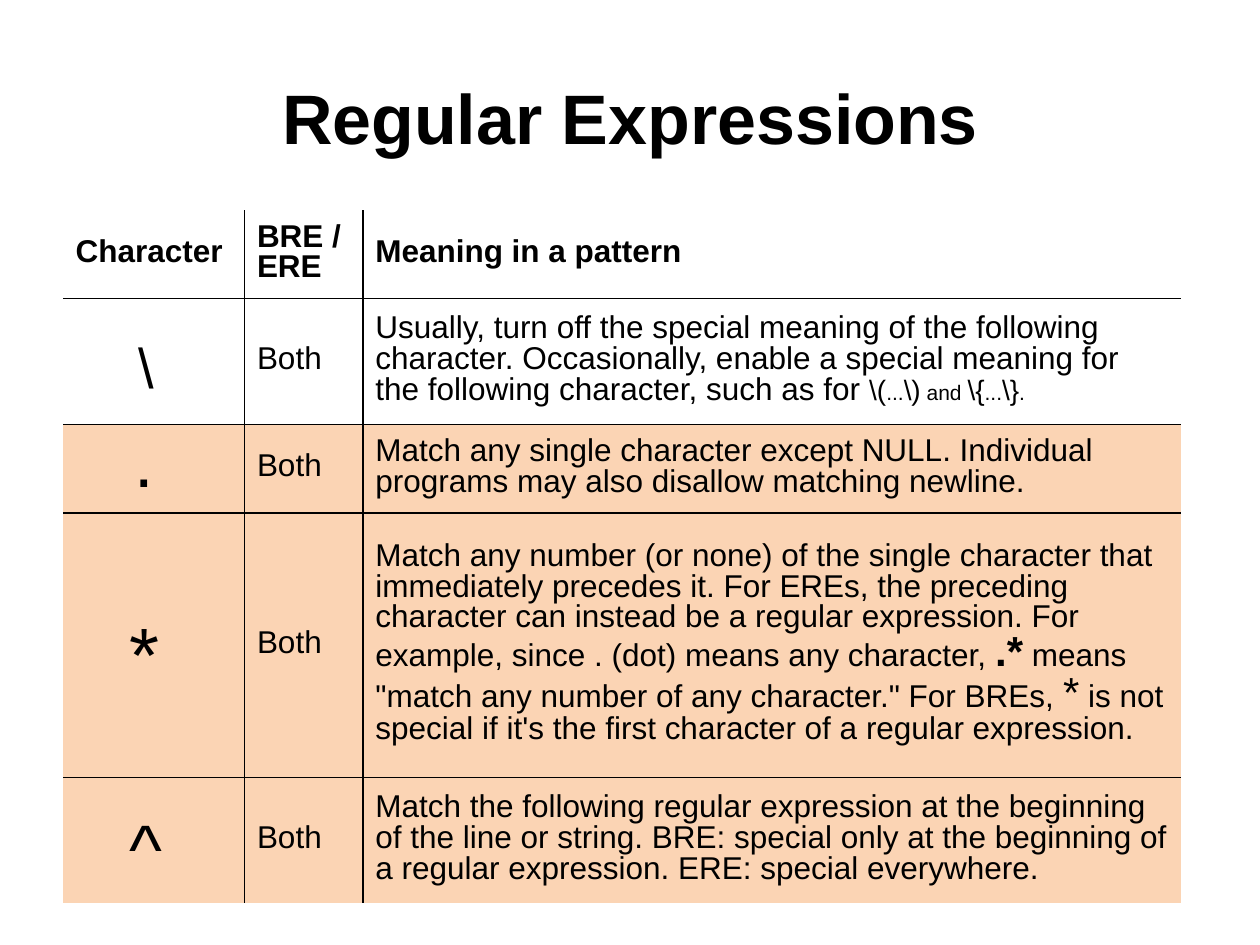
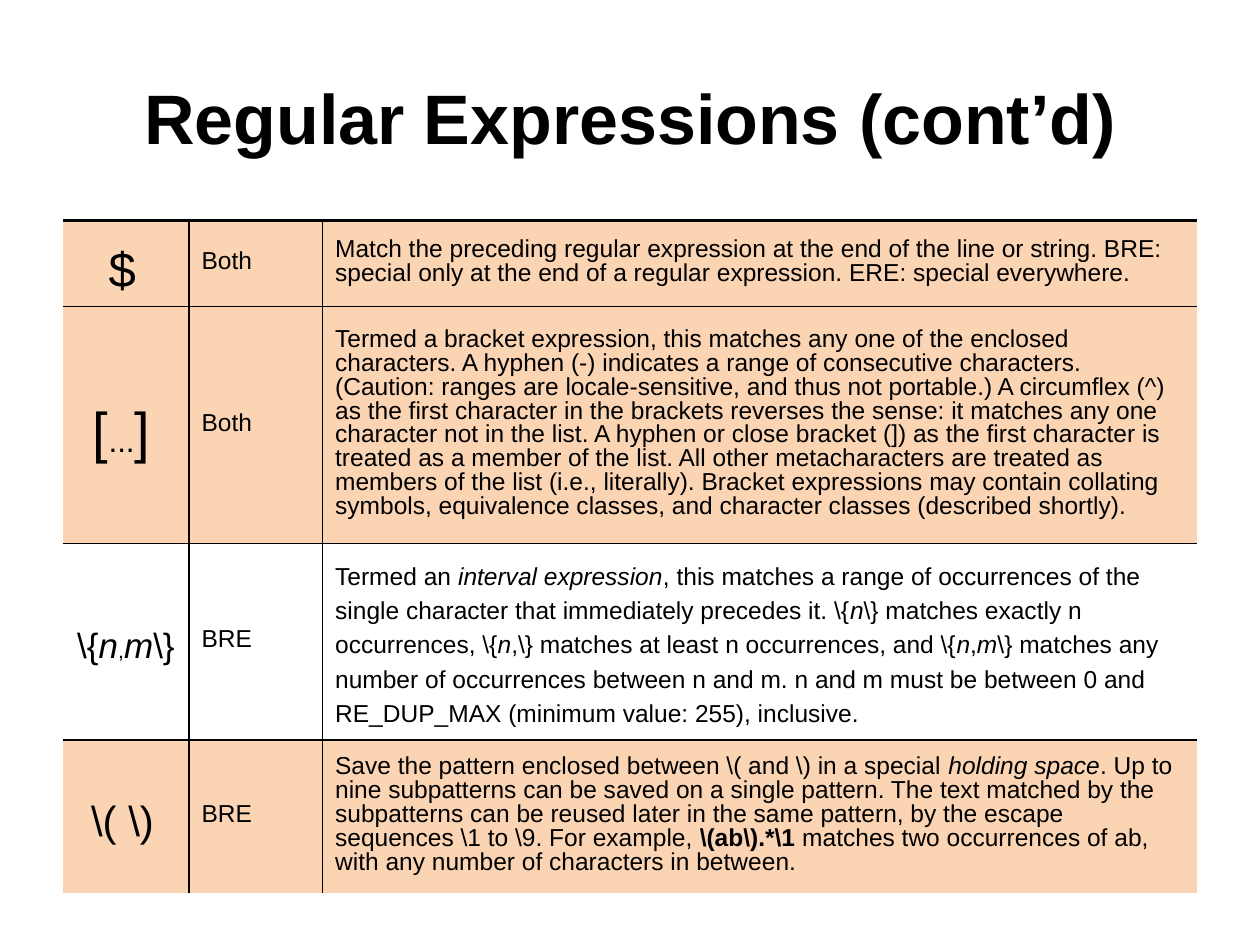
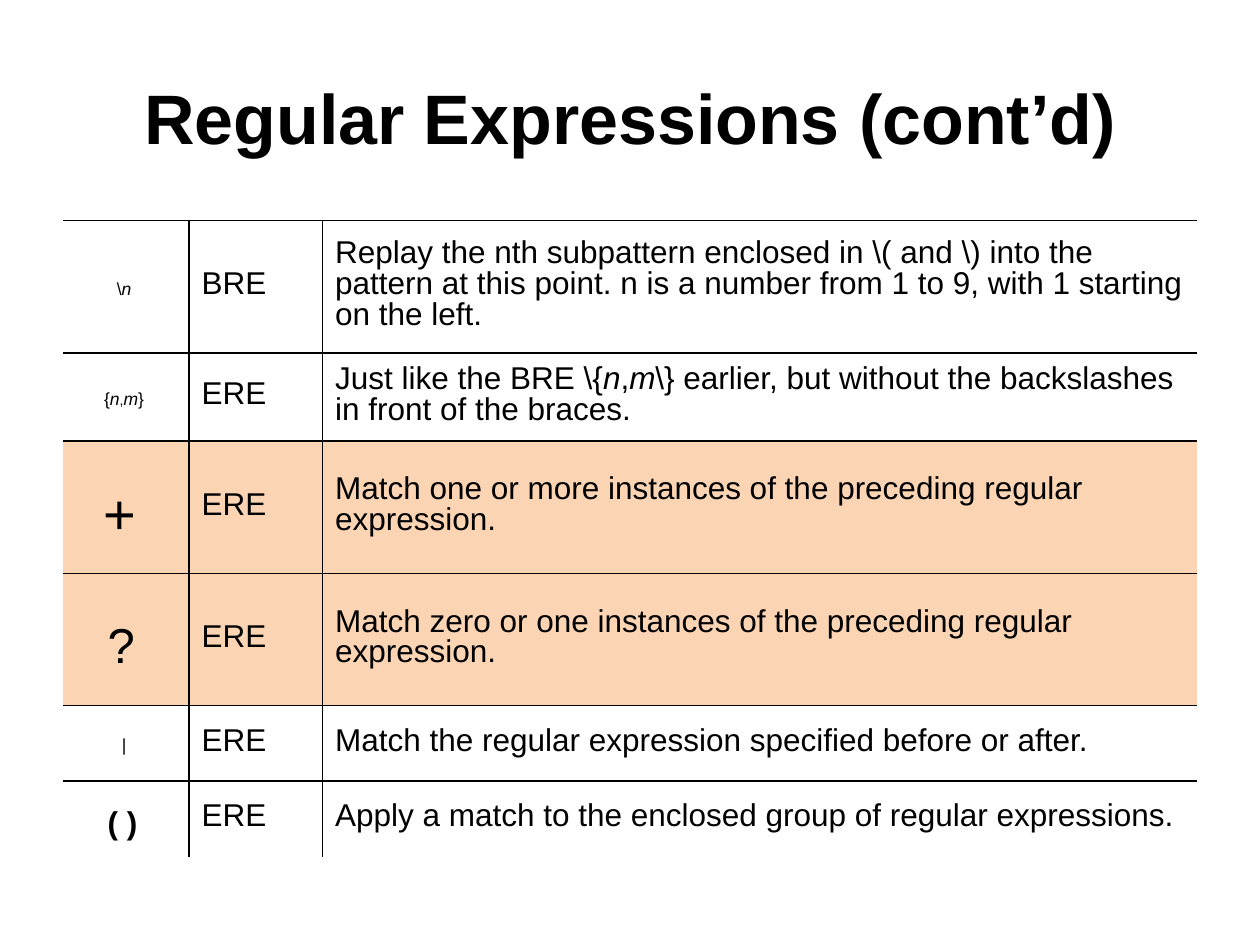
from dataclasses import dataclass
from lxml import etree
from pptx import Presentation
from pptx import util as u
from pptx.dml.color import RGBColor
from pptx.enum import text
from pptx.oxml.ns import qn

INK, PEACH, FONT = "000000", "FBD4B4", "Arial"
COLS, ROWS = 100, 75  # slide grid
TIGHT = {"space": 0.87, "top": 0.03}
LOOSE = {"space": 1.25, "top": 0.05}


def tint(code):
    return RGBColor.from_string(code)


def edge(cell, side, width):
    """Draw one border of a cell; a width of 0 hides it."""
    line = etree.SubElement(cell._tc.get_or_add_tcPr(), qn(f"a:ln{side}"), w=str(u.Pt(width)))
    if not width:
        etree.SubElement(line, qn("a:noFill"))
        return
    fill = etree.SubElement(line, qn("a:solidFill"))
    etree.SubElement(fill, qn("a:srgbClr"), val=INK)


@dataclass
class Row:
    """A run is a string or (text, size, flags); lines holds lists of runs."""
    high: float
    mark: list
    kind: list
    lines: list
    shade: bool = False
    loose: tuple = (0,)  # columns with wide line spacing
    head: bool = False


class Deck:
    def __init__(self):
        self.prs = Presentation()
        self.prs.slide_width, self.prs.slide_height = u.Inches(10), u.Inches(7.5)
        self.slide = None

    def x(self, cols):
        return round(self.prs.slide_width * cols / COLS)

    def y(self, rows):
        return round(self.prs.slide_height * rows / ROWS)

    def page(self, title):
        self.slide = self.prs.slides.add_slide(self.prs.slide_layouts[6])
        box = self.slide.shapes.add_textbox(self.x(5), self.y(3), self.x(90), self.y(12.5))
        frame = box.text_frame
        frame.word_wrap = True
        frame.vertical_anchor = text.MSO_ANCHOR.MIDDLE
        self.words(frame, [[(title, 40, "b")]], 40, text.PP_ALIGN.CENTER)

    def words(self, frame, lines, size, align, space=1):
        for i, runs in enumerate(lines):
            para = frame.paragraphs[0] if i == 0 else frame.add_paragraph()
            para.alignment, para.line_spacing = align, space
            for run in runs:
                label, big, flags = (run, size, "") if isinstance(run, str) else run
                part = para.add_run()
                part.text = label
                look = {"name": FONT, "size": u.Pt(big or size),
                        "bold": "b" in flags, "italic": "i" in flags}
                for key, val in look.items():
                    setattr(part.font, key, val)
                part.font.color.rgb = tint(INK)

    def table(self, top, wide, size, rows, rule):
        """Rule is the width of the line above the table."""
        grid = self.slide.shapes.add_table(
            len(rows), len(wide), self.x(5), self.y(top), self.x(sum(wide)),
            self.y(sum(row.high for row in rows))).table
        grid.first_row = grid.horz_banding = False
        for c, cols in enumerate(wide):
            grid.columns[c].width = self.x(cols)
        for r, row in enumerate(rows):
            grid.rows[r].height = self.y(row.high)
            for c, lines in enumerate(([row.mark], row.kind, row.lines)):
                cell = grid.cell(r, c)
                mode = LOOSE if c in row.loose else TIGHT
                cell.vertical_anchor = text.MSO_ANCHOR.MIDDLE
                cell.margin_top = u.Inches(mode["top"])
                mid = c == 0 and not row.head
                align = text.PP_ALIGN.CENTER if mid else text.PP_ALIGN.LEFT
                self.words(cell.text_frame, lines, size, align, mode["space"])
                edge(cell, "L", int(c > 0))
                edge(cell, "R", int(c < len(wide) - 1))
                edge(cell, "T", 1 if r else rule)
                edge(cell, "B", int(r < len(rows) - 1))
                if row.shade:
                    cell.fill.solid()
                    cell.fill.fore_color.rgb = tint(PEACH)
                else:
                    cell.fill.background()


BOTH, BRE, ERE = [["Both"]], [["BRE"]], [["ERE"]]
N, M = ("n", 0, "i"), ("m", 0, "i")
DOTS = ("...", 12, "")

FIRST = [
    Row(7, [("Character", 0, "b")], [[("BRE /", 0, "b")], [("ERE", 0, "b")]],
        [[("Meaning in a pattern", 0, "b")]], loose=(), head=True),
    Row(10, [("\\ ", 32, "")], BOTH, [
        ["Usually, turn off the special meaning of the following"],
        ["character. Occasionally, enable a special meaning for"],
        ["the following character, such as for ", (r"\(", 16, ""), DOTS, (r"\)", 16, ""),
         (" and ", 12, ""), (r"\{", 16, ""), DOTS, (r"\}", 16, ""), (".", 12, "")]]),
    Row(7, [(". ", 40, "")], BOTH, [
        ["Match any single character except NULL. Individual"],
        ["programs may also disallow matching newline."]], True, ()),
    Row(21, [("*", 44, ""), (" ", 36, "")], BOTH, [
        ["Match any number (or none) of the single character that"],
        ["immediately precedes it. For EREs, the preceding"],
        ["character can instead be a regular expression. For"],
        ["example, since . (dot) means any character, ", (".*", 24, "b"), " means"],
        ['"match any number of any character." For BREs, ', ("*", 24, ""), " is not"],
        ["special if it's the first character of a regular expression.", (" ", 10, "")]], True),
    Row(10, [("^", 40, ""), (" ", 32, "")], BOTH, [
        ["Match the following regular expression at the beginning"],
        ["of the line or string. BRE: special only at the beginning of"],
        ["a regular expression. ERE: special everywhere."]], True),
]

SECOND = [
    Row(6.8, [("$", 28, ""), (" ", 16, "b")], BOTH, [[
        "Match the preceding regular expression at the end of the line or string. BRE: "
        "special only at the end of a regular expression. ERE: special everywhere."]], True),
    Row(18.8, [("[", 32, ""), ("...", 18, ""), ("]", 32, ""), (" ", 18, "")], BOTH, [[
        "Termed a bracket expression, this matches any one of the enclosed characters. "
        "A hyphen (-) indicates a range of consecutive characters. (Caution: ranges are "
        "locale-sensitive, and thus not portable.) A circumflex (^) as the first character "
        "in the brackets reverses the sense: it matches any one character not in the list. "
        "A hyphen or close bracket (]) as the first character is treated as a member of the "
        "list. All other metacharacters are treated as members of the list (i.e., "
        "literally). Bracket expressions may contain collating symbols, equivalence "
        "classes, and character classes (described shortly)."]], True),
    Row(15.6, [(r"\{", 20, ""), ("n", 20, "i"), (",", 12, ""), ("m", 20, "i"),
               (r"\}", 20, ""), (" ", 12, "")], BRE, [[
        "Termed an ", ("interval expression", 0, "i"),
        ", this matches a range of occurrences of the single character that immediately "
        r"precedes it. \{", N, r"\} matches exactly n occurrences, \{", N,
        r",\} matches at least n occurrences, and \{", N, ",", M,
        r"\} matches any number of occurrences between n and m. n and m must be between "
        "0 and RE_DUP_MAX (minimum value: 255), inclusive."]], loose=(0, 2)),
    Row(12.1, [(r"\( \)", 24, ""), " "], BRE, [[
        r"Save the pattern enclosed between \( and \) in a special ",
        ("holding space", 0, "i"),
        ". Up to nine subpatterns can be saved on a single pattern. The text matched by the "
        "subpatterns can be reused later in the same pattern, by the escape sequences "
        r"\1 to \9. For example, ", (r"\(ab\).*\1", 0, "b"),
        " matches two occurrences of ab, with any number of characters in between."]], True),
]

THIRD = [
    Row(10.5, [("\\", 10, ""), ("n", 10, "i"), (" ", 8, "")], BRE, [[
        r"Replay the nth subpattern enclosed in \( and \) into the pattern at this point. "
        "n is a number from 1 to 9, with 1 starting on the left."]]),
    Row(7, [("{", 10, ""), ("n", 10, "i"), (",", 8, ""), ("m", 10, "i"), ("}", 10, ""),
            (" ", 8, "")], ERE, [[
        r"Just like the BRE \{", N, ",", M,
        r"\} earlier, but without the backslashes in front of the braces."]]),
    Row(10.5, [("+", 32, ""), (" ", 24, "")], ERE,
        [["Match one or more instances of the preceding regular expression."]], True),
    Row(10.5, [("?", 28, ""), (" ", 20, "")], ERE,
        [["Match zero or one instances of the preceding regular expression."]], True),
    Row(6, [("|", 10, ""), (" ", 8, "")], ERE,
        [["Match the regular expression specified before or after."]]),
    Row(6, [("( )", 0, "b"), (" ", 14, "b")], ERE,
        [["Apply a match to the enclosed group of regular expressions."]]),
]


def main():
    deck = Deck()
    more, wide = "Regular Expressions (cont’d)", (10, 10.6, 69.4)
    deck.page("Regular Expressions")
    deck.table(16.7, (14.4, 9.4, 64.9), 18, FIRST, 0)
    deck.page(more)
    deck.table(17.5, wide, 14, SECOND, 2.25)
    deck.page(more)
    deck.table(17.5, wide, 18, THIRD, 1)
    deck.prs.save("out.pptx")


if __name__ == "__main__":
    main()
